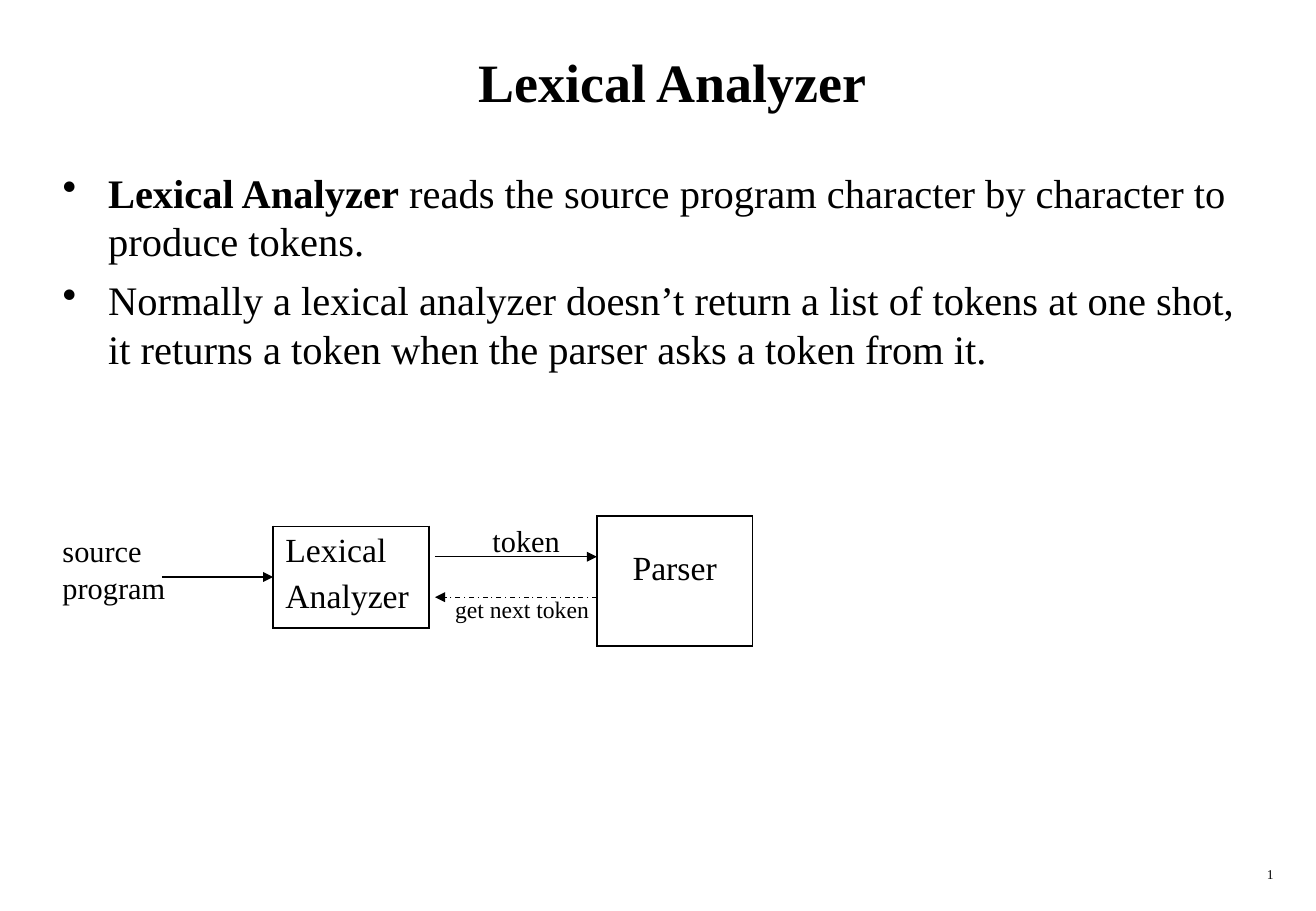
"""Builds the lexical analyzer slide on a grid of 130 columns by 90 rows."""
from dataclasses import dataclass

from lxml import etree
from pptx import Presentation
from pptx.dml.color import RGBColor
from pptx.enum.dml import MSO_LINE
from pptx.enum.shapes import MSO_CONNECTOR
from pptx.enum.text import MSO_ANCHOR, PP_ALIGN
from pptx.oxml.ns import qn
from pptx.util import Inches, Pt

LEFT, CENTER, RIGHT = PP_ALIGN.LEFT, PP_ALIGN.CENTER, PP_ALIGN.RIGHT
TOP, MIDDLE = MSO_ANCHOR.TOP, MSO_ANCHOR.MIDDLE
STRAIGHT = MSO_CONNECTOR.STRAIGHT
DASH_DOT = MSO_LINE.DASH_DOT


@dataclass(frozen=True)
class Theme:
    font: str = "Times New Roman"
    ink: str = "000000"
    title: int = 32
    body: int = 24
    box: int = 20
    label: int = 18
    small: int = 14
    footer: int = 8
    border: float = 1.08
    arrow: float = 0.75


def grid(units):
    return Inches(units / 12)


def add_child(parent, tag, **attributes):
    return etree.SubElement(parent, qn(tag), attributes)


def write_text(frame, text, *, theme, size, bold=False, lead="", align=LEFT,
               before=0, bullet=False):
    for index, line in enumerate(text.split("\n")):
        paragraph = frame.paragraphs[0] if index == 0 else frame.add_paragraph()
        paragraph.alignment = align
        paragraph.space_before = Pt(before)
        for words, strong in split_lead(line, lead, bold):
            run = paragraph.add_run()
            run.text = words
            run.font.name = theme.font
            run.font.size = Pt(size)
            run.font.bold = strong
            run.font.color.rgb = RGBColor.from_string(theme.ink)
        if bullet:
            properties = paragraph._p.get_or_add_pPr()
            properties.set("marL", str(grid(4.5)))
            properties.set("indent", str(grid(-4.5)))
            add_child(properties, "a:buChar", char="•")


def split_lead(line, lead, bold):
    if lead and line.startswith(lead):
        return [(lead, True), (line[len(lead):], bold)]
    return [(line, bold)]


class SlideBuilder:
    def __init__(self, presentation, theme):
        self.theme = theme
        self.slide = presentation.slides.add_slide(presentation.slide_layouts[6])

    def text(self, text, column, row, columns, rows, *, anchor=TOP,
             right_inset=1.2, **style):
        shape = self.slide.shapes.add_textbox(*map(grid, (column, row, columns, rows)))
        frame = shape.text_frame
        frame.word_wrap = True
        frame.vertical_anchor = anchor
        frame.margin_right = grid(right_inset)
        write_text(frame, text, theme=self.theme, **style)

    def box(self, text, column, row, columns, rows, *, top_inset=0.6, **style):
        place = map(grid, (column, row, columns, rows))
        table = self.slide.shapes.add_table(1, 1, *place).table
        table.first_row = table.horz_banding = False
        cell = table.cell(0, 0)
        cell.margin_top = grid(top_inset)
        write_text(cell.text_frame, text, theme=self.theme, size=self.theme.box,
                   **style)
        properties = cell._tc.get_or_add_tcPr()
        for side in ("a:lnL", "a:lnR", "a:lnT", "a:lnB"):
            line = add_child(properties, side, w=str(Pt(self.theme.border)))
            fill = add_child(line, "a:solidFill")
            add_child(fill, "a:srgbClr", val=self.theme.ink)
        cell.fill.background()

    def arrow(self, start, end, row, dash=None):
        ends = map(grid, (start, row, end, row))
        connector = self.slide.shapes.add_connector(STRAIGHT, *ends)
        connector.line.color.rgb = RGBColor.from_string(self.theme.ink)
        connector.line.width = Pt(self.theme.arrow)
        if dash:
            connector.line.dash_style = dash
        add_child(connector.line._get_or_add_ln(), "a:tailEnd", type="triangle")
        add_child(connector._element.spPr, "a:effectLst")


def main():
    presentation = Presentation()
    presentation.slide_width = Inches(10.84)
    presentation.slide_height = Inches(7.5)
    theme = Theme()
    builder = SlideBuilder(presentation, theme)

    builder.text("1", 100, 85, 27.1, 3, size=theme.footer, align=RIGHT)
    builder.text("Lexical Analyzer", 5, 2, 123, 12, anchor=MIDDLE,
                 size=theme.title, bold=True, align=CENTER)
    builder.text(
        "Lexical Analyzer reads the source program character by character to "
        "produce tokens.\n"
        "Normally a lexical analyzer doesn’t return a list of tokens at one shot, "
        "it returns a token when the parser asks a token from it.",
        5, 16, 123, 67, right_inset=4, size=theme.body,
        lead="Lexical Analyzer", before=6, bullet=True)

    builder.box("Lexical\nAnalyzer", 27, 52, 15.4, 10, before=5)
    builder.box("Parser", 59, 51, 15.4, 12.8, top_inset=3.4, align=CENTER)

    builder.text("source\nprogram", 5, 52, 13, 8.4, size=theme.label)
    builder.text("token", 47.5, 51, 10, 4.8, size=theme.label)
    builder.text("get next token", 43.8, 58.2, 16, 4, size=theme.small)

    builder.arrow(16, 27, 57)
    builder.arrow(43, 59, 55)
    builder.arrow(59, 43, 59, dash=DASH_DOT)

    presentation.save("out.pptx")


if __name__ == "__main__":
    main()
